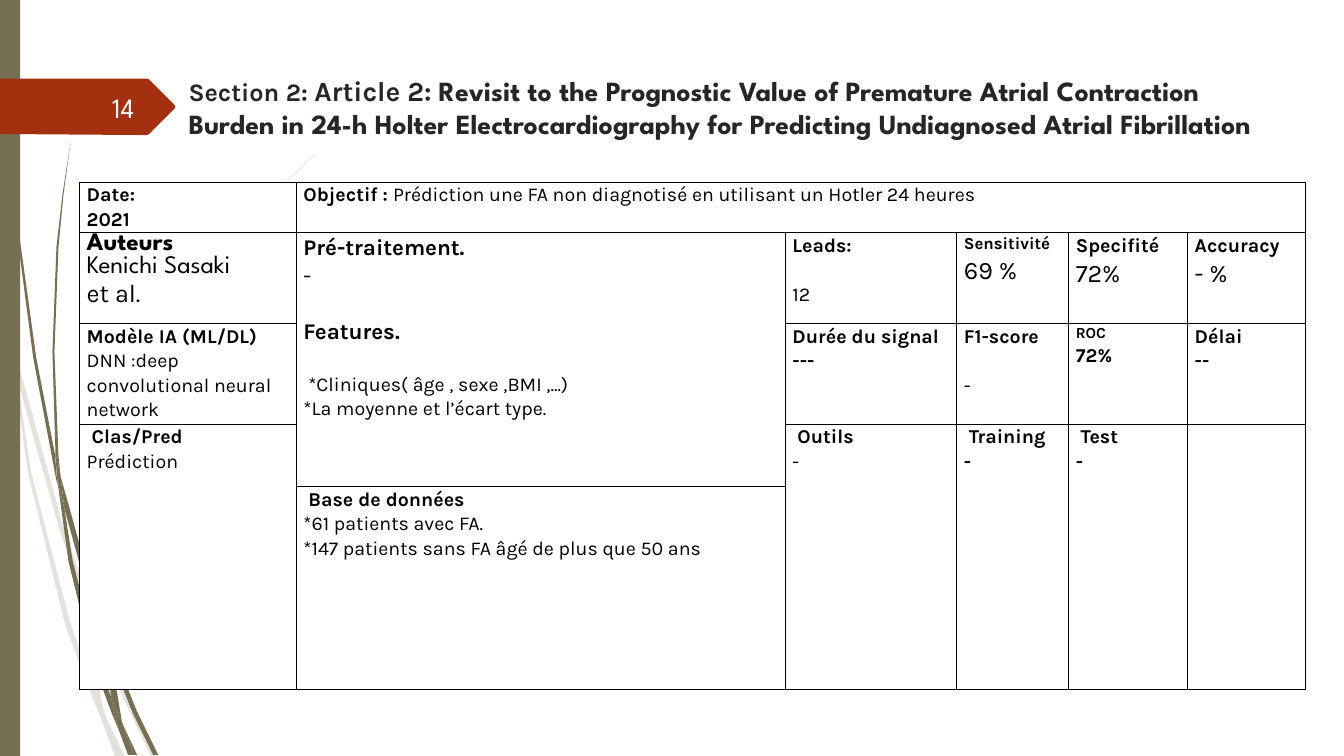
"""Build the article summary slide with its table and wisp decoration."""
import dataclasses
import typing

import lxml.etree
import pptx
import pptx.dml.color
import pptx.enum.shapes
import pptx.enum.text
import pptx.oxml.ns
import pptx.util

Inches = pptx.util.Inches
Pt = pptx.util.Pt
Point = tuple[float, float]
COLORS = {"olive": "766F54", "red": "A53010", "ink": "262626",
          "black": "000000", "white": "FFFFFF", "pale": "FEFFFF"}
KARLA, SPARTAN = "Karla", "League Spartan"


@dataclasses.dataclass
class Run:
    text: str
    size: float = 14
    bold: bool = False
    font: str = KARLA
    color: str = "black"


@dataclasses.dataclass
class Para:
    runs: list[Run]
    space: float = 1.07
    before: float = 0
    after: float = 0


@dataclasses.dataclass
class Cell:
    row: int
    col: int
    paras: list[Para]
    rows: int = 1
    cols: int = 1


def line(text: str, size: float = 14, bold: bool = False, before: float = 0, after: float = 0) -> Para:
    return Para([Run(text, size, bold)], before=before, after=after)


def head(text: str, size: float = 14) -> Para:
    return line(text, size, True)


PALE = [
    [(.11, 3.5), (.09, 3.22), (0, 2.82), (0, 2.99), (.1, 3.44)],
    [(.58, 5.22), (.84, 5.99), (.85, 5.86), (.62, 5.2), (.14, 3.45), (.17, 3.76)],
    [(.92, 6.07), (.88, 5.96), (.88, 6.1), (1.23, 6.94), (1.5, 7.51), (1.55, 7.51), (1.27, 6.92)],
    [(1.19, 7.51), (1.24, 7.51), (1.05, 7.11)],
    [(.93, 6.83), (.7, 6.19), (.31, 4.69), (.17, 3.76), (.11, 3.5), (.28, 4.7), (.65, 6.21),
     (.92, 6.93), (1.01, 7.14), (.99, 7.07)],
    [(.84, 5.99), (.87, 6.46), (.93, 6.83), (.96, 6.92), (1.05, 7.11), (1.03, 7.06), (.91, 6.46),
     (.88, 6.1), (.88, 6.08)],
    [(.88, 5.84), (1.1, 4.62), (1.6, 3.49), (2.29, 2.45), (2.68, 1.98), (2.9, 1.75), (3.12, 1.54),
     (3.12, 1.53), (2.89, 1.75), (2.68, 1.97), (2.28, 2.44), (1.58, 3.48), (1.07, 4.61),
     (.85, 5.84), (.85, 5.86), (.88, 5.96)],
    [(1.01, 7.14), (1.14, 7.51), (1.19, 7.51)],
    [(.88, 6.08), (.88, 6.1), (.88, 5.96), (.85, 5.86), (.84, 5.99)],
    [(.96, 6.92), (.93, 6.83), (.99, 7.07), (1.01, 7.14), (1.19, 7.51), (1.05, 7.11)],
]
DARK = [
    [(.07, 1.1), (.17, 2.33), (.33, 3.55), (.56, 4.77), (.57, 4.81), (.55, 4.57), (.55, 4.53),
     (.36, 3.55), (.19, 2.32), (.08, 1.09), (.05, .48), (.04, 0), (.03, 0), (.04, .48)],
    [(.88, 5.92), (1.06, 6.45), (1.06, 6.33), (1.06, 6.31), (.93, 5.9), (.6, 4.72), (.64, 5.05)],
    [(1.13, 6.49), (1.1, 6.41), (1.11, 6.56), (1.32, 7.08), (1.52, 7.49), (1.57, 7.49), (1.36, 7.06)],
    [(1.1, 6.91), (.98, 6.57), (.72, 5.56), (.64, 5.05), (.57, 4.77), (.68, 5.57), (.93, 6.59),
     (1.11, 7.08), (1.17, 7.22), (1.16, 7.17)],
    [(.6, 4.72), (.58, 4.53), (.54, 3.49), (.58, 2.45), (.63, 1.93), (.7, 1.41), (.62, 1.93),
     (.56, 2.45), (.52, 3.49), (.55, 4.49)],
    [(1.33, 7.49), (1.36, 7.49), (1.22, 7.19)],
    [(.57, 4.77), (.64, 5.05), (.6, 4.72), (.55, 4.49), (.55, 4.53)],
    [(1.11, 6.33), (1.25, 5.52), (1.58, 4.76), (2.05, 4.06), (2.31, 3.74), (2.45, 3.59),
     (2.61, 3.44), (2.6, 3.44), (2.45, 3.58), (2.31, 3.73), (2.04, 4.05), (1.56, 4.74),
     (1.22, 5.51), (1.06, 6.31), (1.1, 6.41)],
    [(1.17, 7.22), (1.27, 7.49), (1.31, 7.49)],
    [(1.06, 6.45), (1.1, 6.91), (1.16, 7.06), (1.22, 7.19), (1.21, 7.16), (1.11, 6.56), (1.09, 6.51)],
    [(1.06, 6.45), (1.09, 6.51), (1.11, 6.56), (1.1, 6.41), (1.06, 6.31), (1.06, 6.33)],
    [(1.16, 7.06), (1.1, 6.91), (1.16, 7.17), (1.17, 7.22), (1.3, 7.49), (1.33, 7.49), (1.22, 7.19)],
]
BANNER = [(1.73, 1.08), (1.48, 1.33), (1.46, 1.34), (1.36, 1.34), (0, 1.33), (0, .78),
          (1.46, .78), (1.48, .79), (1.73, 1.04), (1.74, 1.06)]
TITLE = Para([
    Run("Section 2: ", 18, True, color="ink"),
    Run("Article 2: ", 19.8, True, color="ink"),
    Run("Revisit to the Prognostic Value of Premature Atrial Contraction Burden in 24-h Holter "
        "Electrocardiography for Predicting Undiagnosed Atrial Fibrillation",
        19.8, True, SPARTAN, "ink")], 1)
COLS = [2.15, 4.85, 1.7, 1.11, 1.18, 1.17]
ROWS = [.48, .76, .97, .62, 2.01]
CELLS = [
    Cell(0, 0, [head("Date:"), head("2021")]),
    Cell(0, 1, [Para([Run("Objectif : ", bold=True),
                      Run("Prédiction une FA non diagnotisé en utilisant un Hotler 24 heures")])], cols=5),
    Cell(1, 0, [Para([Run("Auteurs", 18, True, SPARTAN)], 1),
                Para([Run("Kenichi Sasaki ", 18, font=SPARTAN), Run("\n"), Run("et al.", 18)], 1)]),
    Cell(1, 1, [head("Pré-traitement.", 16), line("-", 16),
                line("Features.", 16, True, 20, 19),
                Para([Run(" ", font=SPARTAN), Run("*Cliniques( âge , sexe ,BMI ,...)")]),
                line("*La moyenne et l’écart type.")], rows=3),
    Cell(1, 2, [head("Leads:"), line("12", before=17.5)]),
    Cell(1, 3, [head("Sensitivité", 12), line("69 %", 18)]),
    Cell(1, 4, [head("Specifité"), line("72%", 18)]),
    Cell(1, 5, [head("Accuracy"), line("- %", 18)]),
    Cell(2, 0, [head("Modèle IA (ML/DL)"), line("DNN :deep convolutional neural network")]),
    Cell(2, 2, [head("Durée du signal"), head("---")]),
    Cell(2, 3, [head("F1-score"), line("-", before=17.5)]),
    Cell(2, 4, [head("ROC", 11), head("72%")]),
    Cell(2, 5, [head("Délai"), head("--")]),
    Cell(3, 0, [head(" Clas/Pred"), line("Prédiction")], rows=2),
    Cell(3, 2, [head(" Outils"), line("-")], rows=2),
    Cell(3, 3, [head(" Training"), head("-")], rows=2),
    Cell(3, 4, [head(" Test"), head("-")], rows=2),
    Cell(3, 5, [], rows=2),
    Cell(4, 1, [head(" Base de données"), line("*61 patients avec FA."),
                line("*147 patients sans FA âgé de plus que 50 ans")]),
]


def rgb(name: str) -> pptx.dml.color.RGBColor:
    return pptx.dml.color.RGBColor.from_string(COLORS[name])


def sub(node: typing.Any, tag: str, **attrs: str) -> typing.Any:
    return lxml.etree.SubElement(node, pptx.oxml.ns.qn(tag), attrs)


def paint(shape: typing.Any, color: str) -> None:
    shape.shadow.inherit = False
    shape.fill.solid()
    shape.fill.fore_color.rgb = rgb(color)
    shape.line.fill.background()


def outline(shapes: typing.Any, points: list[Point], color: str) -> typing.Any:
    first, *rest = [(Inches(x), Inches(y)) for x, y in points]
    pen = shapes.build_freeform(*first)
    pen.add_line_segments(rest)
    shape = pen.convert_to_shape()
    paint(shape, color)
    return shape


def write(frame: typing.Any, paras: list[Para], align: typing.Any = None) -> None:
    frame.word_wrap = True
    for i, para in enumerate(paras):
        p = frame.add_paragraph() if i else frame.paragraphs[0]
        p.alignment, p.line_spacing = align, para.space
        p.space_before, p.space_after = Pt(para.before), Pt(para.after)
        for item in para.runs:
            if item.text == "\n":
                p.add_line_break()
                continue
            run = p.add_run()
            run.text = item.text
            run.font.name, run.font.size, run.font.bold = item.font, Pt(item.size), item.bold
            run.font.color.rgb = rgb(item.color)


def dress(cell: typing.Any) -> None:
    props = cell._tc.get_or_add_tcPr()
    for side in "LRTB":
        edge = sub(props, f"a:ln{side}", w=str(Pt(1)))
        sub(sub(edge, "a:solidFill"), "a:srgbClr", val=COLORS["black"])
    cell.fill.solid()
    cell.fill.fore_color.rgb = rgb("white")
    cell.margin_left = cell.margin_right = Inches(.07)
    cell.margin_top = cell.margin_bottom = 0


def grid(shapes: typing.Any) -> None:
    table = shapes.add_table(len(ROWS), len(COLS), Inches(.79), Inches(1.81),
                             Inches(sum(COLS)), Inches(sum(ROWS))).table
    table.first_row = table.horz_banding = False
    for col, width in zip(table.columns, COLS):
        col.width = Inches(width)
    for row, height in zip(table.rows, ROWS):
        row.height = Inches(height)
    for cell in table.iter_cells():
        dress(cell)
    for item in CELLS:
        cell = table.cell(item.row, item.col)
        if item.rows * item.cols > 1:
            cell.merge(table.cell(item.row + item.rows - 1, item.col + item.cols - 1))
        write(cell.text_frame, item.paras)


def main() -> None:
    deck = pptx.Presentation()
    deck.slide_width, deck.slide_height = Inches(13.33), Inches(7.5)
    slide = deck.slides.add_slide(deck.slide_layouts[5])
    shapes = slide.shapes
    pale = shapes.add_group_shape().shapes
    for points in PALE:
        wisp = outline(pale, points, "olive")
        tint = next(wisp._element.spPr.iter(pptx.oxml.ns.qn("a:srgbClr")))
        sub(tint, "a:alpha", val="20000")
    dark = shapes.add_group_shape().shapes
    for points in DARK:
        outline(dark, points, "olive")
    paint(shapes.add_shape(pptx.enum.shapes.MSO_SHAPE.RECTANGLE, 0, 0, Inches(.2), Inches(7.5)), "olive")
    outline(shapes, BANNER, "red")
    title = shapes.title
    title.left, title.top, title.width, title.height = map(Inches, (1.77, .68, 10.94, .97))
    title.text_frame.vertical_anchor = pptx.enum.text.MSO_ANCHOR.TOP
    title.text_frame.auto_size = pptx.enum.text.MSO_AUTO_SIZE.NONE
    write(title.text_frame, [TITLE], pptx.enum.text.PP_ALIGN.LEFT)
    page = shapes.add_textbox(*map(Inches, (.58, .86, .85, .4))).text_frame
    page.vertical_anchor = pptx.enum.text.MSO_ANCHOR.MIDDLE
    write(page, [Para([Run("14", 20, font=SPARTAN, color="pale")], 1)], pptx.enum.text.PP_ALIGN.RIGHT)
    grid(shapes)
    deck.save("out.pptx")


if __name__ == "__main__":
    main()
